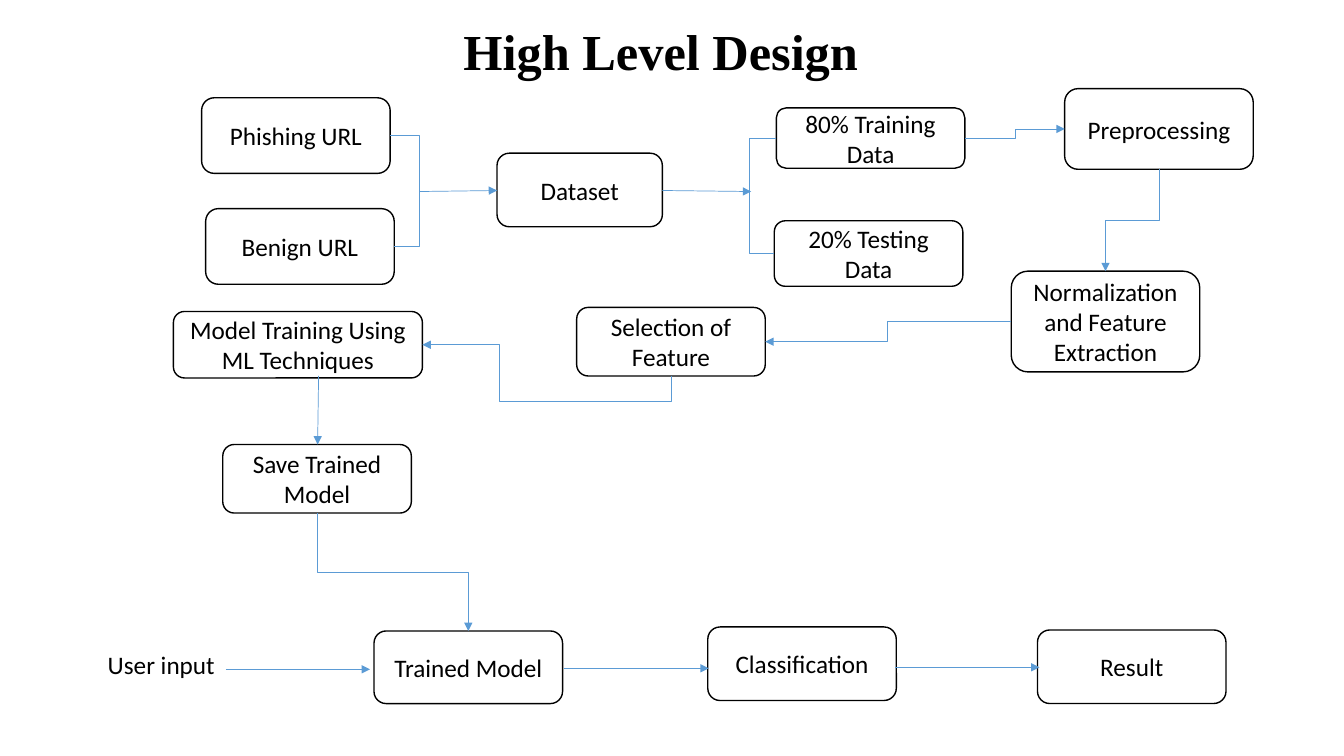
from pptx import Presentation
from pptx.dml.color import RGBColor
from pptx.enum.shapes import MSO_CONNECTOR, MSO_SHAPE
from pptx.enum.text import MSO_ANCHOR, PP_ALIGN
from pptx.oxml.ns import qn
from pptx.util import Inches, Pt
from lxml import etree

ROUNDED = MSO_SHAPE.ROUNDED_RECTANGLE
STRAIGHT, ELBOW = MSO_CONNECTOR.STRAIGHT, MSO_CONNECTOR.ELBOW
LEFT, CENTER = PP_ALIGN.LEFT, PP_ALIGN.CENTER
TOP, MIDDLE = MSO_ANCHOR.TOP, MSO_ANCHOR.MIDDLE

THEME = {
    "ink": RGBColor(0, 0, 0),
    "paper": RGBColor(255, 255, 255),
    "link": RGBColor(0x5B, 0x9B, 0xD5),
    "title_font": "Times New Roman",
    "body_font": "Calibri",
    "title_size": 36,
    "body_size": 18,
    "box_line": 1,
    "link_line": 0.5,
}

TITLE = ("High Level Design", (2.06, 0.2, 8.99, 0.68))
USER_INPUT = ("User input", (0.97, 6.39, 1.88, 0.4))

BOX_W = 1.87
BOXES = {
    "Phishing URL": (2, 0.97, BOX_W, 0.75),
    "Benign URL": (2.04, 2.07, BOX_W, 0.75),
    "Dataset": (4.93, 1.52, 1.64, 0.73),
    "80% Training Data": (7.7, 1.07, BOX_W, 0.6),
    "20% Testing Data": (7.68, 2.19, BOX_W, 0.65),
    "Preprocessing": (10.56, 0.88, BOX_W, 0.8),
    "Normalization and Feature Extraction": (10.03, 2.69, BOX_W, 1),
    "Selection of Feature": (5.72, 3.05, BOX_W, 0.68),
    "Model Training Using ML Techniques": (1.72, 3.09, 2.47, 0.66),
    "Save Trained Model": (2.21, 4.41, BOX_W, 0.68),
    "Trained Model": (3.71, 6.26, BOX_W, 0.72),
    "Classification": (7.02, 6.22, BOX_W, 0.73),
    "Result": (10.29, 6.25, BOX_W, 0.73),
}

ARROWS = [
    ((4.16, 1.9), (4.93, 1.89)),
    ((6.57, 1.89), (7.45, 1.9)),
    ((3.16, 3.73), (3.15, 4.41)),
    ((2.24, 6.64), (3.67, 6.64)),
    ((5.59, 6.63), (7.03, 6.63)),
    ((8.88, 6.62), (10.31, 6.62)),
]

ELBOWS = [
    ("Phishing URL", "right", "Benign URL", "right", (4.16,), False),
    ("80% Training Data", "left", "20% Testing Data", "left", (7.43,), False),
    ("80% Training Data", "right", "Preprocessing", "left", (10.07,), True),
    ("Preprocessing", "bottom", "Normalization and Feature Extraction", "top", (2.19,), True),
    ("Normalization and Feature Extraction", "left", "Selection of Feature", "right", (8.8,), True),
    ("Selection of Feature", "bottom", "Model Training Using ML Techniques", "right", (3.98, 4.95), True),
    ("Save Trained Model", "bottom", "Trained Model", "top", (5.68,), True),
]

SIDES = {"left": (0, 0.5), "right": (1, 0.5), "top": (0.5, 0), "bottom": (0.5, 1)}


def write(s, text, *, size=THEME["body_size"], font=THEME["body_font"], bold=False,
          align=CENTER, anchor=MIDDLE, spacing=None):
    tf = s.text_frame
    tf.word_wrap = True
    tf.vertical_anchor = anchor
    p = tf.paragraphs[0]
    p.alignment = align
    if spacing:
        p.line_spacing = spacing
    r = p.add_run()
    r.text = text
    r.font.size, r.font.name, r.font.bold = Pt(size), font, bold
    r.font.color.rgb = THEME["ink"]


def add_box(shapes, text, at):
    s = shapes.add_shape(ROUNDED, *map(Inches, at))
    s.shadow.inherit = False
    s.fill.solid()
    s.fill.fore_color.rgb = THEME["paper"]
    s.line.color.rgb = THEME["ink"]
    s.line.width = Pt(THEME["box_line"])
    write(s, text)


def add_link(shapes, kind, start, end, arrow=True):
    c = shapes.add_connector(kind, *map(Inches, (*start, *end)))
    c.line.color.rgb = THEME["link"]
    c.line.width = Pt(THEME["link_line"])
    if arrow:
        etree.SubElement(c.line._get_or_add_ln(), qn("a:tailEnd"), type="triangle")
    etree.SubElement(c._element.spPr, qn("a:effectLst"))
    return c


def side_point(name, side):
    x, y, w, h = BOXES[name]
    fx, fy = SIDES[side]
    return x + w * fx, y + h * fy


def add_elbow(shapes, source, out_side, target, in_side, bends, arrow):
    start, end = side_point(source, out_side), side_point(target, in_side)
    (x1, y1), (x2, y2) = start, end
    first_axis = 1 if out_side in ("top", "bottom") else 0
    rotation = 0
    if first_axis:
        rotation = 270 if x2 > x1 else 90
        cx, cy = (x1 + x2) / 2, (y1 + y2) / 2
        half_w, half_h = abs(y2 - y1) / 2, abs(x2 - x1) / 2
        if x2 > x1 or y2 < y1:
            half_w = -half_w
        c = add_link(shapes, ELBOW, (cx - half_w, cy - half_h), (cx + half_w, cy + half_h), arrow)
    else:
        c = add_link(shapes, ELBOW, start, end, arrow)
    spPr = c._element.spPr
    if rotation:
        spPr.find(qn("a:xfrm")).set("rot", str(rotation * 60000))
    geom = spPr.find(qn("a:prstGeom"))
    geom.set("prst", f"bentConnector{len(bends) + 2}")
    guides = geom.find(qn("a:avLst"))
    for i, bend in enumerate(bends):
        axis = (first_axis + i) % 2
        ratio = (bend - start[axis]) / (end[axis] - start[axis])
        etree.SubElement(guides, qn("a:gd"), name=f"adj{i + 1}", fmla=f"val {round(ratio * 100000)}")


def main():
    prs = Presentation()
    prs.slide_width, prs.slide_height = Inches(13.33), Inches(7.5)
    shapes = prs.slides.add_slide(prs.slide_layouts[6]).shapes

    text, at = TITLE
    write(shapes.add_textbox(*map(Inches, at)), text, size=THEME["title_size"],
          font=THEME["title_font"], bold=True, spacing=0.9)
    for text, at in BOXES.items():
        add_box(shapes, text, at)
    text, at = USER_INPUT
    write(shapes.add_textbox(*map(Inches, at)), text, align=LEFT, anchor=TOP)
    for start, end in ARROWS:
        add_link(shapes, STRAIGHT, start, end)
    for elbow in ELBOWS:
        add_elbow(shapes, *elbow)

    prs.save("out.pptx")


if __name__ == "__main__":
    main()
